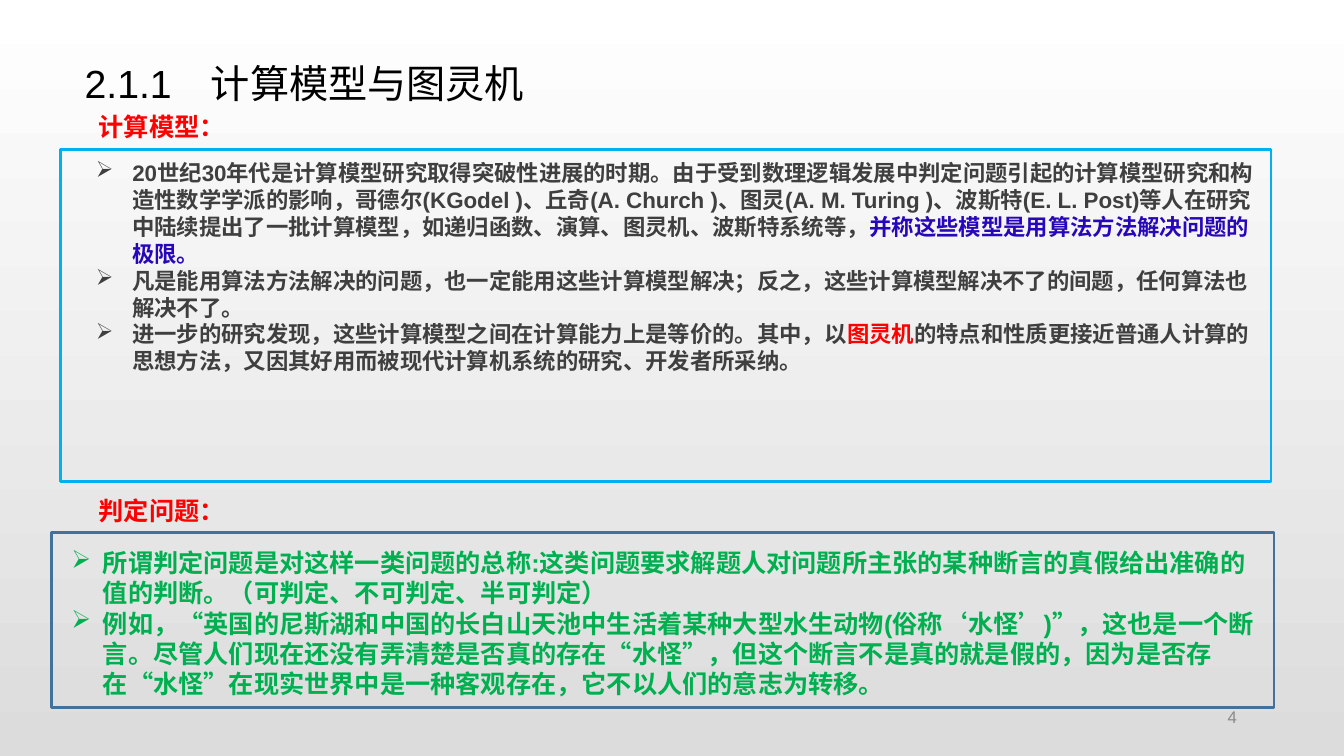
from lxml import etree
from pptx import Presentation
from pptx.dml.color import RGBColor
from pptx.enum.shapes import MSO_SHAPE
from pptx.enum.text import MSO_ANCHOR, PP_ALIGN
from pptx.oxml.ns import qn
from pptx.util import Pt

RECT = MSO_SHAPE.RECTANGLE
TOP, MIDDLE = MSO_ANCHOR.TOP, MSO_ANCHOR.MIDDLE
LEFT, RIGHT = PP_ALIGN.LEFT, PP_ALIGN.RIGHT
RED, DARK, BLUE, GREEN = "FF0000", "3F3F3F", "2806BA", "00B050"


def rgb(code):
    return RGBColor.from_string(code)


def add_text(box, paras, size, color, bold=False, inset=(7.2, 3.6, 7.2, 3.6),
             anchor=TOP, align=LEFT, bullet=None):
    """Each paragraph is a list of (text, colour or None); bullet is (margin, hang)."""
    frame = slide.shapes.add_textbox(*map(Pt, box)).text_frame
    frame.word_wrap = True
    frame.vertical_anchor = anchor
    frame.margin_left, frame.margin_top, frame.margin_right, frame.margin_bottom = map(Pt, inset)
    for i, runs in enumerate(paras):
        para = frame.add_paragraph() if i else frame.paragraphs[0]
        para.alignment = align
        font = para.font
        font.name, font.size, font.bold = "Arial", Pt(size), bold
        font.color.rgb = rgb(color)
        for text, tint in runs:
            run = para.add_run()
            run.text = text
            if tint:
                run.font.color.rgb = rgb(tint)
        if bullet:
            props = para._p.get_or_add_pPr()
            margin, hang = bullet
            props.set("marL", str(Pt(margin)))
            props.set("indent", str(-Pt(hang)))
            mark = etree.Element(qn("a:buChar"), char="➢")
            props.insert(0, mark)


deck = Presentation()
deck.slide_width, deck.slide_height = Pt(960), Pt(540)
slide = deck.slides.add_slide(deck.slide_layouts[6])

fill = slide.background.fill
fill.gradient()
fill.gradient_angle = 270
for stop, (place, color) in zip(fill.gradient_stops, [(0, "FFFFFF"), (1, "DCDCDC")]):
    stop.position = place
    stop.color.rgb = rgb(color)

add_text((52.6, 33.8, 854.6, 51.1), [[("2.1.1　计算模型与图灵机", None)]], 28, "000000",
         inset=(7.9, 2.9, 5.8, 2.9), anchor=MIDDLE)

models = [
    [("20世纪30年代是计算模型研究取得突破性进展的时期。由于受到数理逻辑发展中判定问题引起的"
      "计算模型研究和构造性数学学派的影响，哥德尔(KGodel )、丘奇(A. Church )、"
      "图灵(A. M. Turing )、波斯特(E. L. Post)等人在研究中陆续提出了一批计算模型，"
      "如递归函数、演算、图灵机、波斯特系统等，", None),
     ("并称这些模型是用算法方法解决问题的极限。", BLUE)],
    [("凡是能用算法方法解决的问题，也一定能用这些计算模型解决；反之，"
      "这些计算模型解决不了的间题，任何算法也解决不了。", None)],
    [("进一步的研究发现，这些计算模型之间在计算能力上是等价的。其中，以", None),
     ("图灵机", RED),
     ("的特点和性质更接近普通人计算的思想方法，又因其好用而被现代计算机系统的研究、"
      "开发者所采纳。", None)],
]
add_text((52.6, 113.8, 854.6, 239.8), models, 16, DARK, True,
         inset=(7.9, 0, 6.5, 0), bullet=(34, 26))

problems = [
    [("所谓判定问题是对这样一类问题的总称:这类问题要求解题人对问题所主张的某种断言的真假"
      "给出准确的值的判断。（可判定、不可判定、半可判定）", None)],
    [("例如，“英国的尼斯湖和中国的长白山天池中生活着某种大型水生动物(俗称‘水怪’)”，"
      "这也是一个断言。尽管人们现在还没有弄清楚是否真的存在“水怪”，但这个断言不是真的就是假的，"
      "因为是否存在“水怪”在现实世界中是一种客观存在，它不以人们的意志为转移。", None)],
]
add_text((43.9, 387.4, 863.3, 115.9), problems, 18, GREEN, True, bullet=(22.5, 22.5))

for label, top in [("计算模型：", 76.3), ("判定问题：", 350.6)]:
    add_text((63.4, top, 139, 28.8), [[(label, None)]], 18, RED, True)

frames = [((43.2, 106.6, 864.7, 237.6), "00B0F0"),
          ((36.7, 380.2, 873.4, 125.3), "42719B")]
for box, color in frames:
    frame = slide.shapes.add_shape(RECT, *map(Pt, box))
    frame.shadow.inherit = False
    frame.fill.background()
    frame.line.color.rgb = rgb(color)
    frame.line.width = Pt(2)

add_text((678.2, 499.7, 212.4, 25.2), [[("4", None)]], 12, "898989",
         anchor=MIDDLE, align=RIGHT)

deck.save("out.pptx")
